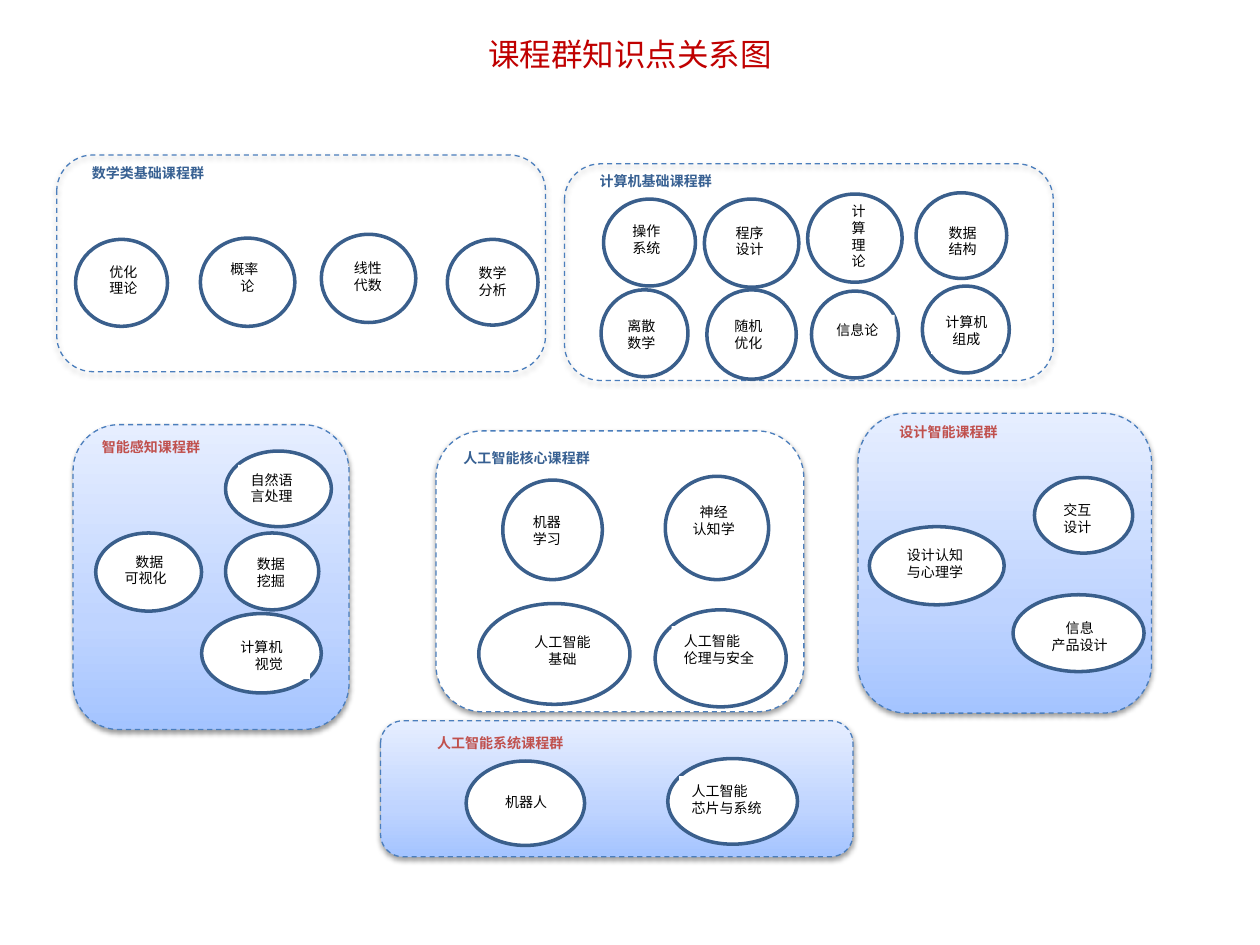
from pptx import Presentation
from pptx.dml.color import RGBColor
from pptx.enum.dml import MSO_LINE
from pptx.enum.shapes import MSO_SHAPE
from pptx.enum.text import MSO_ANCHOR, PP_ALIGN
from pptx.oxml import parse_xml
from pptx.oxml.ns import nsdecls, qn
from pptx.util import Inches, Pt

FONT = "Noto Sans CJK SC"
WHITE, BLACK, RED, BLUE = "FFFFFF", "000000", "C0504D", "376092"
GROUP_LINE, TOPIC_LINE = "4B7EBC", "3A5F8C"
GRADIENT = ((0, "A4C4FF"), (35, "BFD4FF"), (100, "E6EEFF"))
ALIGNMENTS = {"l": PP_ALIGN.LEFT, "c": PP_ALIGN.CENTER}

MATH_TOPICS = [
    ((1.59, 1.89, 0.75, 0.7), (1.73, 2.02, 0.47, 0.37), "概率\n论", "lc"),
    ((0.6, 1.9, 0.73, 0.69), (0.77, 2.04, 0.45, 0.37), "优化理论", "l"),
    ((2.55, 1.86, 0.75, 0.7), (2.71, 2.01, 0.72, 0.37), "线性\n代数", "ll"),
    ((3.55, 1.9, 0.72, 0.68), (3.7, 2.05, 0.49, 0.37), "数学\n分析", "ll"),
]
COMPUTING_TOPICS = [
    ((5.59, 1.58, 0.75, 0.7), (5.74, 1.73, 0.47, 0.37), "程序\n设计", "ll"),
    ((4.79, 1.58, 0.73, 0.69), (4.92, 1.72, 0.45, 0.37), "操作\n系统", "ll"),
    ((6.41, 1.54, 0.75, 0.7), (6.66, 1.56, 0.41, 0.64), "计算\n理论", "ll"),
    ((7.27, 1.53, 0.72, 0.68), (7.43, 1.73, 0.49, 0.37), "数据\n结构", "ll"),
]
COMPUTING_WHITE_TOPICS = [
    ((4.77, 2.3, 0.69, 0.69), (4.88, 2.47, 0.48, 0.37), "离散\n数学", "ll"),
    ((5.61, 2.3, 0.71, 0.71), (5.73, 2.47, 0.44, 0.37), "随机\n优化", "ll"),
    ((6.44, 2.31, 0.69, 0.69), (6.54, 2.5, 0.56, 0.24), "信息论", "l"),
    ((7.32, 2.27, 0.69, 0.69), (7.39, 2.44, 0.56, 0.37), "计算机组成", "c"),
]
PERCEPTION_TOPICS = [
    ((1.79, 3.58, 0.84, 0.6), (1.89, 3.69, 0.59, 0.37), "自然语\n言处理", "ll"),
    ((0.76, 4.23, 0.84, 0.62), (0.89, 4.34, 0.59, 0.37), "数据\n可视化", "cl"),
    ((1.6, 4.87, 0.95, 0.63), (1.81, 5.02, 0.65, 0.37), "计算机\n视觉", "lc"),
    ((1.79, 4.23, 0.74, 0.61), (1.94, 4.36, 0.48, 0.37), "数据挖掘", "l"),
]
DESIGN_TOPICS = [
    ((8.21, 3.79, 0.78, 0.6), (8.34, 3.93, 0.48, 0.37), "交互\n设计", "ll"),
    ((6.9, 4.18, 1.07, 0.62), (7.1, 4.29, 0.66, 0.37), "设计认知与心理学", "l"),
    ((8.04, 4.72, 1.04, 0.61), (8.23, 4.87, 0.68, 0.37), "信息\n产品设计", "cc"),
]
CORE_TOPICS = [
    ((5.28, 3.78, 0.82, 0.82), (5.39, 3.95, 0.55, 0.37), "神经\n认知学", "cc"),
    ((3.99, 3.81, 0.79, 0.79), (4.13, 4.03, 0.55, 0.37), "机器\n学习", "ll"),
    ((5.2, 4.84, 1.04, 0.77), (5.33, 4.97, 0.76, 0.37), "人工智能\n伦理与安全", "ll"),
    ((3.8, 4.79, 1.2, 0.8), (4.11, 4.98, 0.71, 0.37), "人工智能基础", "c"),
]
SYSTEM_TOPICS = [
    ((5.3, 6.02, 1.03, 0.68), (5.39, 6.16, 0.79, 0.37), "人工智能\n芯片与系统", "ll"),
    ((3.7, 6.04, 0.94, 0.67), (3.91, 6.25, 0.59, 0.24), "机器人", "l"),
]


def color(value):
    """Turn a hex string into a colour."""
    return RGBColor.from_string(value)


def paint(shape, fill):
    """Give a shape a solid, gradient or empty fill."""
    if fill is None:
        shape.fill.background()
    elif fill == GRADIENT:
        stops = "".join(
            f'<a:gs pos="{place * 1000}"><a:srgbClr val="{tone}"/></a:gs>'
            for place, tone in fill
        )
        shape._element.spPr.find(qn("a:prstGeom")).addnext(parse_xml(
            f'<a:gradFill {nsdecls("a")} rotWithShape="1"><a:gsLst>{stops}</a:gsLst>'
            '<a:lin ang="16200000" scaled="0"/></a:gradFill>'
        ))
    else:
        shape.fill.solid()
        shape.fill.fore_color.rgb = color(fill)


def add_text(page, text, frame, size=8, font=FONT, tone=BLACK, bold=False,
             align="l", fill=None, anchor=MSO_ANCHOR.TOP, spacing=None):
    """Add a text box with one alignment letter for each line."""
    box = page.shapes.add_textbox(*map(Inches, frame))
    paint(box, fill)
    body = box.text_frame
    body.word_wrap = True
    body.vertical_anchor = anchor
    body.text = text
    for para, letter in zip(body.paragraphs, align):
        para.alignment = ALIGNMENTS[letter]
        para.line_spacing = spacing
        span = para.runs[0]
        span.font.size = Pt(size)
        span.font.name = font
        span.font.bold = bold
        span.font.color.rgb = color(tone)
        span.font._element.find(qn("a:latin")).addnext(
            parse_xml(f'<a:ea {nsdecls("a")} typeface="{FONT}"/>')
        )


def add_outline(page, kind, frame, fill, line, width):
    """Add a preset shape with an outline and no shadow."""
    shape = page.shapes.add_shape(kind, *map(Inches, frame))
    paint(shape, fill)
    shape.line.color.rgb = color(line)
    shape.line.width = Pt(width)
    shape.shadow.inherit = False
    return shape


def add_group_panel(page, frame, fill):
    """Add a dashed rounded panel with a soft shadow below it."""
    panel = add_outline(page, MSO_SHAPE.ROUNDED_RECTANGLE, frame, fill, GROUP_LINE, 0.75)
    panel.line.dash_style = MSO_LINE.DASH
    panel._element.spPr.find(qn("a:effectLst")).append(parse_xml(
        f'<a:outerShdw {nsdecls("a")} blurRad="{Pt(3.1)}" dist="{Pt(1.6)}" '
        'dir="5400000" rotWithShape="0"><a:srgbClr val="000000">'
        '<a:alpha val="38000"/></a:srgbClr></a:outerShdw>'
    ))


def add_topics(page, topics, fill):
    """Add an ellipse and its label for each topic."""
    for ellipse, label, text, align in topics:
        add_outline(page, MSO_SHAPE.OVAL, ellipse, fill, TOPIC_LINE, 2)
        add_text(page, text, label, align=align, fill=fill)


def add_course_group(page, name, panel, heading, topics, fill, tone, topic_fill=WHITE):
    """Add a panel with its heading and topics."""
    add_group_panel(page, panel, fill)
    add_text(page, name, heading, tone=tone, bold=True)
    add_topics(page, topics, topic_fill)


def main():
    """Build and save the slide."""
    deck = Presentation()
    deck.slide_width, deck.slide_height = Inches(10), Inches(7.5)
    page = deck.slides.add_slide(deck.slide_layouts[6])
    add_text(page, "课程群知识点关系图", (0, 0, 10, 0.89), size=18, font="Times New Roman",
             tone="C00000", align="c", anchor=MSO_ANCHOR.MIDDLE, spacing=0.9)
    add_course_group(page, "智能感知课程群", (0.58, 3.37, 2.19, 2.42),
                     (0.71, 3.43, 1.23, 0.24), PERCEPTION_TOPICS, GRADIENT, RED)
    add_course_group(page, "设计智能课程群", (6.81, 3.28, 2.33, 2.38),
                     (7.04, 3.31, 1.19, 0.24), DESIGN_TOPICS, GRADIENT, RED)
    add_course_group(page, "人工智能核心课程群", (3.46, 3.42, 2.92, 2.23),
                     (3.58, 3.52, 1.62, 0.24), CORE_TOPICS, WHITE, BLUE)
    add_course_group(page, "人工智能系统课程群", (3.02, 5.72, 3.75, 1.08),
                     (3.37, 5.78, 1.71, 0.24), SYSTEM_TOPICS, GRADIENT, RED)
    add_course_group(page, "计算机基础课程群", (4.48, 1.3, 3.88, 1.72),
                     (4.66, 1.32, 1.62, 0.24), COMPUTING_TOPICS, None, BLUE, None)
    add_topics(page, COMPUTING_WHITE_TOPICS, WHITE)
    add_course_group(page, "数学类基础课程群", (0.45, 1.23, 3.88, 1.72),
                     (0.63, 1.26, 1.62, 0.24), MATH_TOPICS, None, BLUE, None)
    deck.save("out.pptx")


if __name__ == "__main__":
    main()
